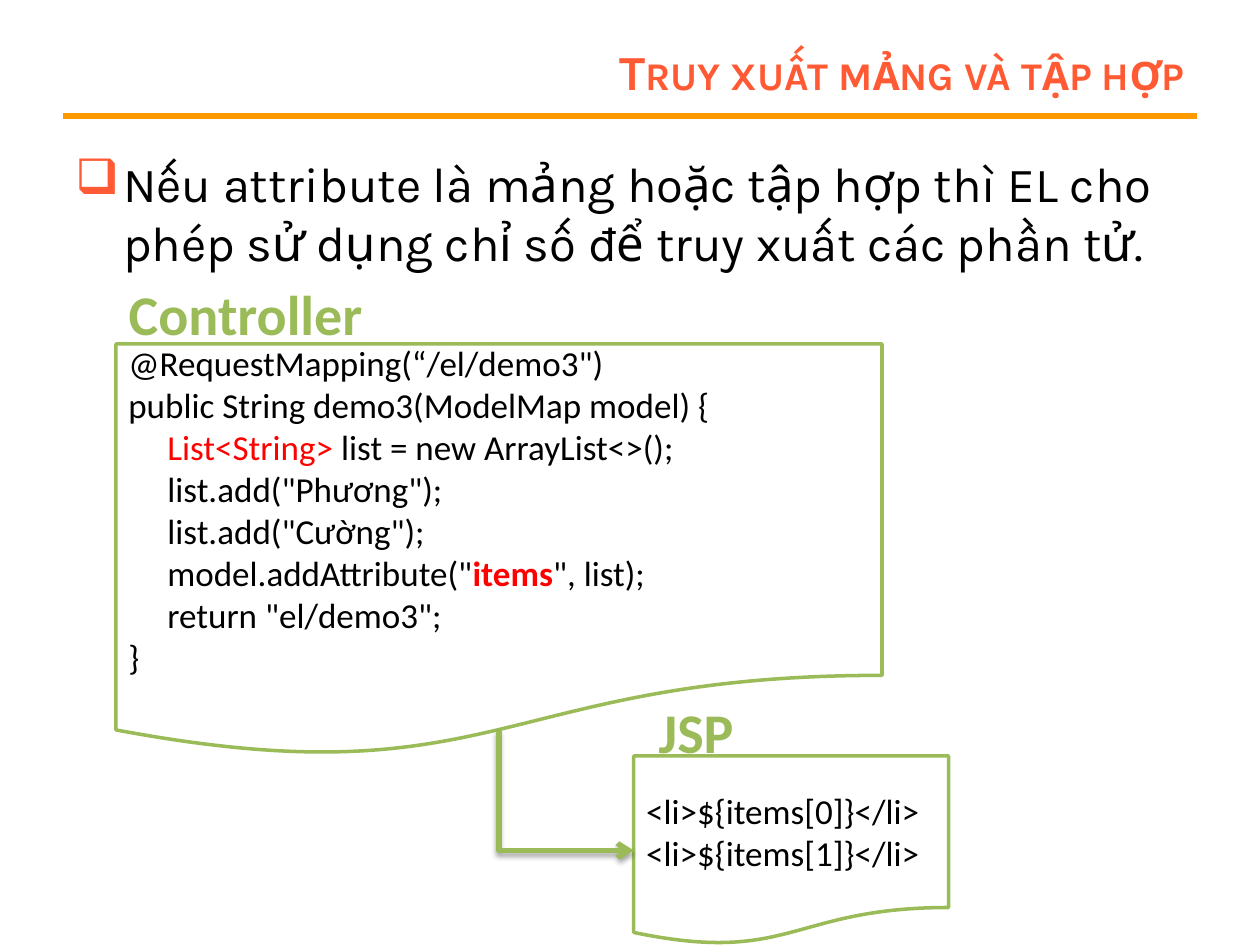
"""Builds a slide on reading arrays and collections with EL."""
from lxml import etree
from pptx import Presentation, util as u
from pptx.dml.color import RGBColor
from pptx.enum import shapes, text
from pptx.oxml import parse_xml
from pptx.oxml.ns import nsdecls, qn

ORANGE = RGBColor(0xFF, 0x5A, 0x33)
AMBER = RGBColor(0xFF, 0x99, 0x00)
GREEN = RGBColor(0x9B, 0xBB, 0x59)
RED = RGBColor(0xFF, 0, 0)
BLACK = RGBColor(0, 0, 0)
WHITE = RGBColor(0xFF, 0xFF, 0xFF)

TITLE = "Truy xuất mảng và tập hợp"
BODY = ("Nếu attribute là mảng hoặc tập hợp thì EL cho phép sử dụng "
        "chỉ số để truy xuất các phần tử.")
CONTROLLER = [
    (0, [("@RequestMapping(“/el/demo3\")", BLACK, False)]),
    (0, [("public String demo3(ModelMap model) {", BLACK, False)]),
    (1, [("List<String> ", RED, False),
         ("list = new ArrayList<>();", BLACK, False)]),
    (1, [("list.add(\"Phương\");", BLACK, False)]),
    (1, [("list.add(\"Cường\");", BLACK, False)]),
    (1, [("model.addAttribute(\"", BLACK, False), ("items", RED, True),
         ("\", list);", BLACK, False)]),
    (1, [("return \"el/demo3\";", BLACK, False)]),
    (0, [("}", BLACK, False)]),
]
JSP = [(0, [(f"<li>${{items[{i}]}}</li>", BLACK, False)]) for i in range(2)]
DOCUMENTS = [
    (CONTROLLER, (0.92, 2.73, 6.08, 3.28)),
    (JSP, (5.03, 6, 2.5, 1.5)),
]
LABELS = [
    ("Controller", (0.91, 2.17, 2.08, 0.64)),
    ("JSP", (5, 5.49, 1.05, 0.64)),
]
ARROW = (3.96, 5.8, 5.03, 6.75)
CODE_INDENT = 0.31
MARGIN = 0.5


def inches(values):
    return [u.Inches(v) for v in values]


def style(r, font, size, color, bold=False):
    r.font.name, r.font.size, r.font.bold = font, u.Pt(size), bold
    r.font.color.rgb = color


def add_text(s, box, words, font, size, color, bold, align, wrap=True):
    sp = s.shapes.add_textbox(*inches(box))
    tf = sp.text_frame
    tf.word_wrap = wrap
    tf.text = words
    p = tf.paragraphs[0]
    p.alignment = align
    style(p.runs[0], font, size, color, bold)
    return tf


def add_bullet(p, mark, color, indent):
    pPr = p._p.get_or_add_pPr()
    pPr.set("marL", str(u.Inches(indent)))
    pPr.set("indent", str(-u.Inches(indent)))
    clr = etree.SubElement(pPr, qn("a:buClr"))
    etree.SubElement(clr, qn("a:srgbClr"), val=str(color))
    etree.SubElement(pPr, qn("a:buChar"), char=mark)


def add_document(s, lines, box):
    sp = s.shapes.add_shape(shapes.MSO_SHAPE.FLOWCHART_DOCUMENT, *inches(box))
    sp.shadow.inherit = False
    sp.fill.solid()
    sp.fill.fore_color.rgb = WHITE
    sp.line.color.rgb, sp.line.width = GREEN, u.Pt(2)
    tf = sp.text_frame
    tf.word_wrap = True
    tf.vertical_anchor = text.MSO_ANCHOR.MIDDLE
    for i, (level, runs) in enumerate(lines):
        p = tf.add_paragraph() if i else tf.paragraphs[0]
        p.alignment = text.PP_ALIGN.LEFT
        p._p.get_or_add_pPr().set("marL", str(u.Inches(level * CODE_INDENT)))
        for words, color, bold in runs:
            r = p.add_run()
            r.text = words
            style(r, "Calibri", 20, color, bold)


def add_line(s, kind, ends, color, effect=""):
    sp = s.shapes.add_connector(kind, *inches(ends))
    sp.line.color.rgb, sp.line.width = color, u.Pt(3)
    sp._element.spPr.append(parse_xml(
        f"<a:effectLst {nsdecls('a')}>{effect}</a:effectLst>"))
    return sp


def add_arrow(s, x1, y1, x2, y2):
    cx, cy = (x1 + x2) / 2, (y1 + y2) / 2
    dx, dy = (y2 - y1) / 2, (x2 - x1) / 2
    shadow = (f'<a:outerShdw blurRad="{u.Pt(3.1)}" dist="{u.Pt(1.8)}" '
              'dir="5400000" rotWithShape="0"><a:srgbClr val="000000">'
              '<a:alpha val="35000"/></a:srgbClr></a:outerShdw>')
    sp = add_line(s, shapes.MSO_CONNECTOR.ELBOW,
                  (cx + dx, cy - dy, cx - dx, cy + dy), GREEN, shadow)
    spPr = sp._element.spPr
    spPr.find(qn("a:xfrm")).set("rot", str(270 * 60000))
    spPr.find(qn("a:prstGeom")).set("prst", "bentConnector2")
    etree.SubElement(spPr.find(qn("a:ln")), qn("a:tailEnd"), type="arrow")


def main():
    prs = Presentation()
    prs.slide_width, prs.slide_height = inches((10, 7.5))
    s = prs.slides.add_slide(prs.slide_layouts[6])
    add_line(s, shapes.MSO_CONNECTOR.STRAIGHT,
             (MARGIN, 0.92, 10 - MARGIN, 0.92), AMBER)

    tf = add_text(s, (2.25, 0.3, 7.25, 0.53), TITLE, "Karla", 28, ORANGE,
                  True, text.PP_ALIGN.RIGHT)
    tf.vertical_anchor = text.MSO_ANCHOR.MIDDLE
    tf.paragraphs[0].runs[0].font._element.set("cap", "small")

    tf = add_text(s, (MARGIN, 1.17, 10 - 2 * MARGIN, 1.17), BODY, "Karla", 28,
                  BLACK, False, text.PP_ALIGN.LEFT)
    tf.paragraphs[0].space_before = u.Pt(5.6)
    add_bullet(tf.paragraphs[0], "❑", ORANGE, 0.38)

    for lines, box in DOCUMENTS:
        add_document(s, lines, box)
    for words, box in LABELS:
        add_text(s, box, words, "Calibri", 32, GREEN, True,
                 text.PP_ALIGN.CENTER, wrap=False)
    add_arrow(s, *ARROW)
    prs.save("out.pptx")


if __name__ == "__main__":
    main()
